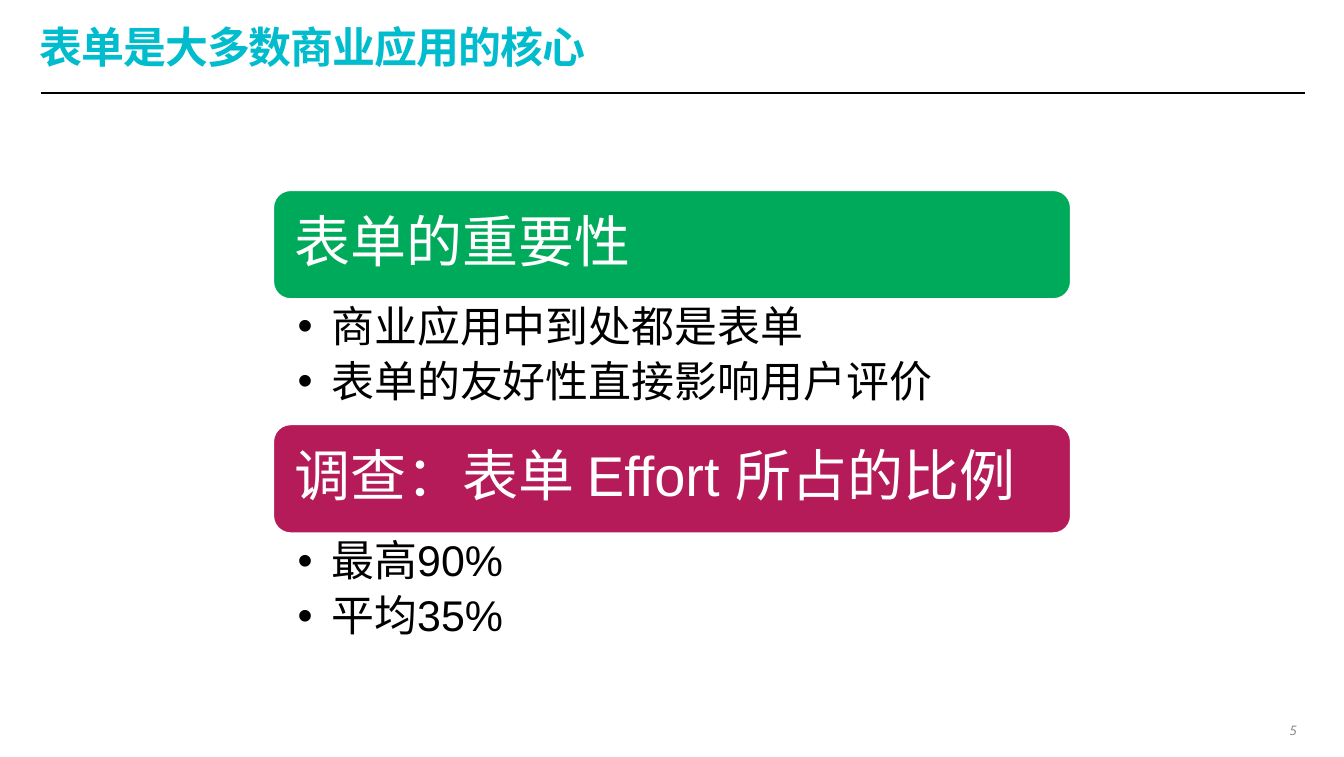
"""Build the slide on why forms are central to business applications."""
from lxml import etree
from pptx import Presentation
from pptx.dml.color import RGBColor
from pptx.enum import shapes, text
from pptx.oxml import ns
from pptx.util import Pt

TEAL = RGBColor(0x00, 0xBC, 0xCD)
GREEN = RGBColor(0x00, 0xAA, 0x5B)
CRIMSON = RGBColor(0xB5, 0x1B, 0x58)
BLACK = RGBColor(0, 0, 0)
WHITE = RGBColor(0xFF, 0xFF, 0xFF)
GRAY = RGBColor(0x80, 0x81, 0x84)
CJK_FONT = "Noto Sans CJK JP"


def write(shape, lines, size, color, font="Arial", bold=False, italic=False,
          insets=(0, 0, 0, 0), anchor=text.MSO_ANCHOR.TOP, align=text.PP_ALIGN.LEFT,
          line_spacing=0.9, space_after=0, tracking=0, bullet=None, wrap=True):
    frame = shape.text_frame
    frame.word_wrap = wrap
    frame.vertical_anchor = anchor
    frame.margin_left, frame.margin_top, frame.margin_right, frame.margin_bottom = map(Pt, insets)
    for index, line in enumerate(lines):
        paragraph = frame.add_paragraph() if index else frame.paragraphs[0]
        paragraph.alignment = align
        paragraph.line_spacing = line_spacing
        paragraph.space_after = Pt(space_after)
        if bullet:
            properties = paragraph._p.get_or_add_pPr()
            properties.set("marL", str(Pt(18)))
            properties.set("indent", str(-Pt(18)))
            etree.SubElement(properties, ns.qn("a:buFont")).set("typeface", font)
            etree.SubElement(properties, ns.qn("a:buChar")).set("char", bullet)
        run = paragraph.add_run()
        run.text = line
        run.font.size = Pt(size)
        run.font.name = font
        run.font.bold = bold
        run.font.italic = italic
        run.font.color.rgb = color
        run_properties = run._r.get_or_add_rPr()
        etree.SubElement(run_properties, ns.qn("a:ea")).set("typeface", CJK_FONT)
        if tracking:
            run_properties.set("spc", str(round(tracking * 100)))


presentation = Presentation()
presentation.slide_width = Pt(720)
presentation.slide_height = Pt(405.36)
slide = presentation.slides.add_slide(presentation.slide_layouts[6])

rule = slide.shapes.add_connector(
    shapes.MSO_CONNECTOR.STRAIGHT, Pt(21.8), Pt(49.6), Pt(699), Pt(49.6))
rule.line.color.rgb = BLACK
rule.line.width = Pt(1)
etree.SubElement(rule._element.spPr, ns.qn("a:effectLst"))

title = slide.shapes.add_textbox(Pt(21.2), Pt(13), Pt(677.5), Pt(30))
write(title, ["表单是大多数商业应用的核心"], 23, TEAL, font=CJK_FONT, bold=True,
      anchor=text.MSO_ANCHOR.MIDDLE, line_spacing=0.7, tracking=-0.6)

page_number = slide.shapes.add_textbox(Pt(684), Pt(384.5), Pt(15), Pt(12.2))
write(page_number, ["5"], 7, GRAY, font="Open Sans", italic=True,
      insets=(4.3, 2.2, 4.3, 2.2), align=text.PP_ALIGN.RIGHT, line_spacing=1, wrap=False)

SECTIONS = [
    ("表单的重要性", GREEN, ["商业应用中到处都是表单", "表单的友好性直接影响用户评价"]),
    ("调查：表单 Effort 所占的比例", CRIMSON, ["最高90%", "平均35%"]),
]
LEFT, TOP, WIDTH = 145.8, 101.3, 428.4
BANNER_HEIGHT, BODY_HEIGHT = 59.4, 66

for index, (heading, color, points) in enumerate(SECTIONS):
    top = TOP + index * (BANNER_HEIGHT + BODY_HEIGHT)
    banner = slide.shapes.add_shape(
        shapes.MSO_SHAPE.ROUNDED_RECTANGLE, Pt(LEFT), Pt(top), Pt(WIDTH), Pt(BANNER_HEIGHT))
    banner.shadow.inherit = False
    banner.fill.solid()
    banner.fill.fore_color.rgb = color
    banner.line.color.rgb = WHITE
    banner.line.width = Pt(2)
    write(banner, [heading], 30, WHITE, insets=(9, 8.6, 8.6, 8.6),
          anchor=text.MSO_ANCHOR.MIDDLE, space_after=10.5)

    body = slide.shapes.add_textbox(
        Pt(LEFT), Pt(top + BANNER_HEIGHT), Pt(WIDTH), Pt(BODY_HEIGHT))
    write(body, points, 23, BLACK, insets=(13.6, 2.9, 16.6, 2.9),
          space_after=4.6, bullet="•")

presentation.save("out.pptx")
